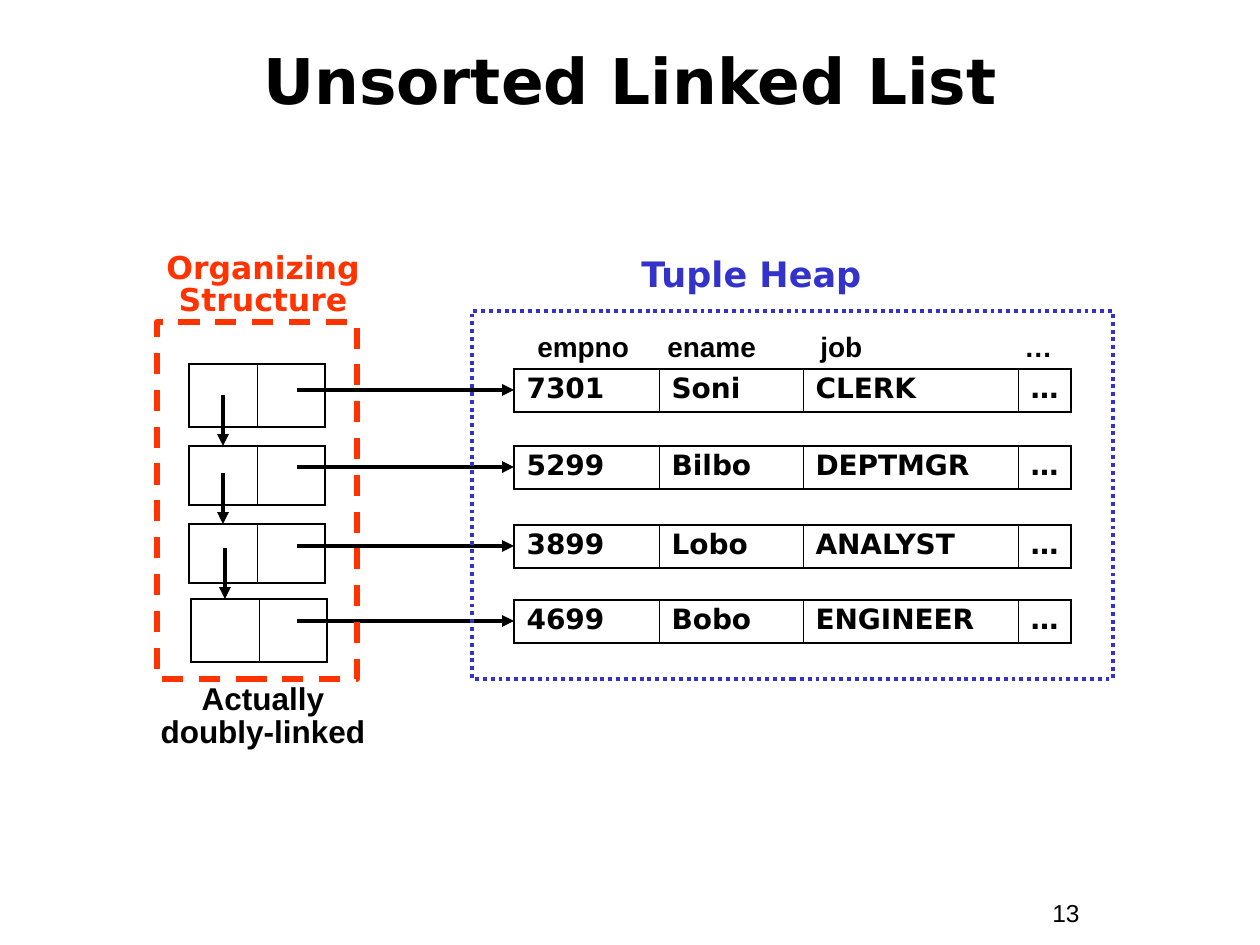
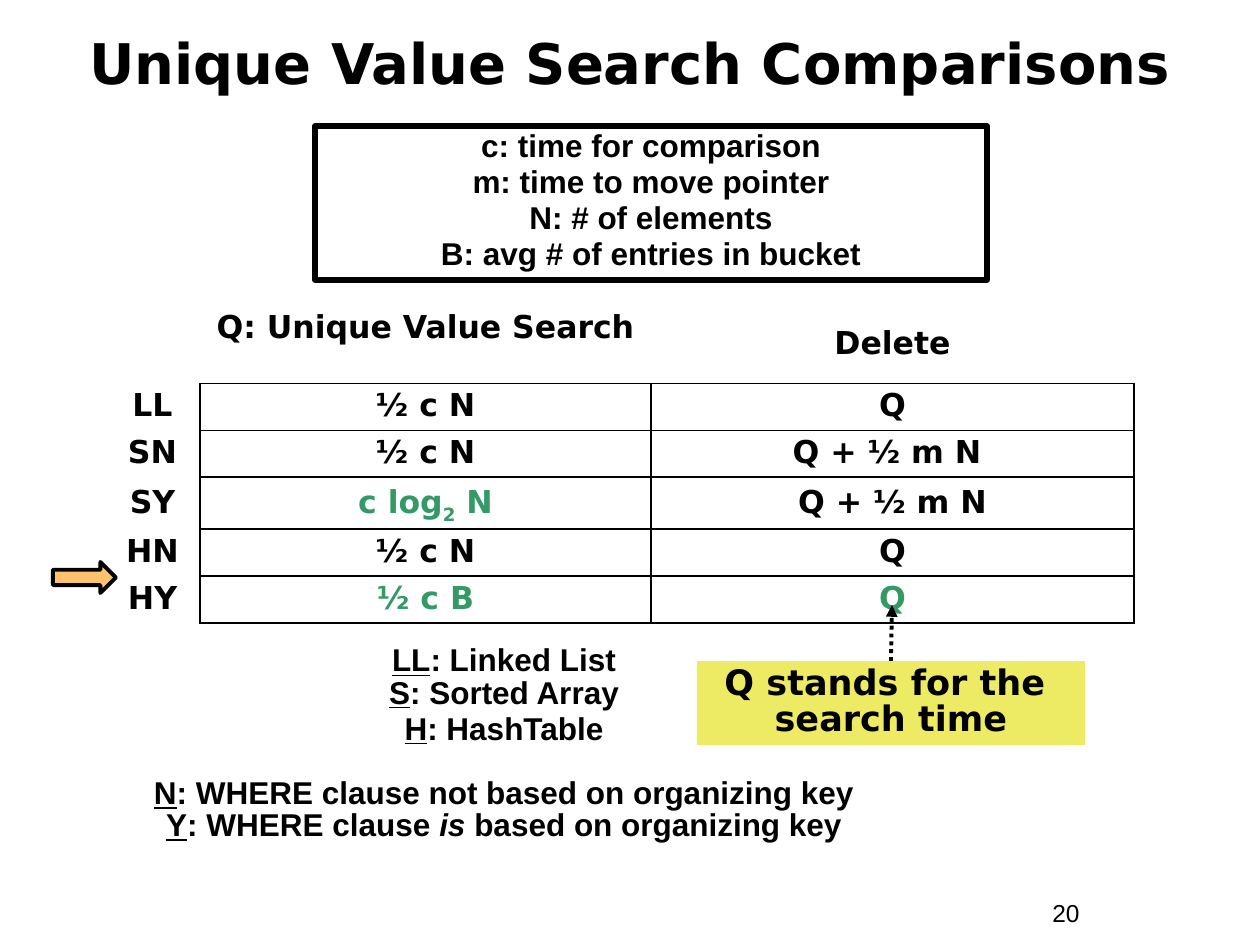
from dataclasses import dataclass, replace
from typing import Callable, NamedTuple, Sequence

from lxml.etree import SubElement
from pptx import Presentation
from pptx.dml.color import RGBColor
from pptx.enum.dml import MSO_LINE_DASH_STYLE as Dash
from pptx.enum.shapes import MSO_CONNECTOR as Conn, MSO_SHAPE as Shape
from pptx.enum.text import MSO_ANCHOR as Anchor, PP_ALIGN as Align
from pptx.oxml import parse_xml
from pptx.oxml.ns import nsdecls, qn
from pptx.slide import Slide
from pptx.util import Pt

PX = 914400 / 126
BLACK, RED, BLUE, GREEN = "000000", "FF3300", "3333CC", "339966"
ORANGE, YELLOW = "FFC36B", "EDEA63"
SANS, ARIAL = "DejaVu Sans", "Arial"
THIN, RULE = 0.45, 1.08


class Box(NamedTuple):
    x: int
    y: int
    w: int
    h: int


class Span(NamedTuple):
    text: str
    underline: bool = False
    italic: bool = False
    subscript: bool = False


class Node(NamedTuple):
    x: int
    y: int
    h: int


class Employee(NamedTuple):
    y: int
    values: tuple[str, ...]


@dataclass(frozen=True)
class Style:
    size: int
    font: str = SANS
    color: str = BLACK
    bold: bool = True
    align: Align = Align.CENTER
    line_spacing: float = 1.0
    space_before: float = 0


@dataclass(frozen=True)
class Pen:
    width: float
    color: str = BLACK
    dash: Dash | None = None


Line = str | Sequence[Span]
Edges = Callable[[int, int], dict[str, float]]

TITLE = Style(36)
PAGE_NUMBER = Style(14, ARIAL, bold=False, align=Align.LEFT)
CAPTION = Style(18, line_spacing=0.85)
NOTE = Style(18, ARIAL, line_spacing=0.85, space_before=2.2)
TUPLE_CELL = Style(16, align=Align.LEFT, line_spacing=0.9)
COST_CELL = Style(18, line_spacing=0.9)
ARROW = Pen(2.25)

NODES = [Node(189, 364, 63), Node(189, 446, 59), Node(189, 524, 59), Node(191, 599, 63)]
EMPLOYEES = [
    Employee(369, ("7301", "Soni", "CLERK", "…")),
    Employee(446, ("5299", "Bilbo", "DEPTMGR", "…")),
    Employee(525, ("3899", "Lobo", "ANALYST", "…")),
    Employee(600, ("4699", "Bobo", "ENGINEER", "…")),
]
COSTS: list[list[Line]] = [
    ["", "Q: Unique Value Search", "Delete"],
    ["LL", "½ c N", "Q"],
    ["SN", "½ c N", "Q + ½ m N "],
    ["SY", [Span("c log"), Span("2", subscript=True), Span(" N")], "Q + ½ m N"],
    ["HN", "½ c N", "Q"],
    ["HY", "½ c B", "Q"],
]
FAST_COSTS = {(3, 1), (5, 1), (5, 2)}
SYMBOLS = ["c: time for comparison", "m: time to move pointer",
           "N: # of elements", "B: avg # of entries in bucket"]
# Space before in points, then the spans of the line
LEGEND = [
    (0, [Span("LL", underline=True), Span(": Linked List")]),
    (0, [Span("S", underline=True), Span(": Sorted Array")]),
    (2.2, [Span("H", underline=True), Span(": HashTable")]),
    (18.5, [Span("N", underline=True), Span(": WHERE clause not based on organizing key")]),
    (0, [Span("Y", underline=True), Span(": WHERE clause "), Span("is", italic=True),
         Span(" based on organizing key")]),
]


def emu(px: float) -> int:
    return round(px * PX)


def rgb(color: str) -> RGBColor:
    return RGBColor.from_string(color)


def write(tf, lines: Sequence[Line], st: Style) -> None:
    for i, line in enumerate(lines):
        p = tf.paragraphs[0] if i == 0 else tf.add_paragraph()
        p.alignment = st.align
        p.line_spacing = st.line_spacing
        p.space_before = Pt(st.space_before if i else 0)
        if isinstance(line, str):
            p.text = line
        else:
            for span in line:
                r = p.add_run()
                r.text = span.text
                if span.underline:
                    r.font.underline = True
                if span.italic:
                    r.font.italic = True
                if span.subscript:
                    r._r.get_or_add_rPr().set("baseline", "-25000")
        for r in p.runs:
            r.font.name, r.font.size, r.font.bold = st.font, Pt(st.size), st.bold
            r.font.color.rgb = rgb(st.color)


def add_text(s: Slide, box: Box, lines: Sequence[Line], st: Style, anchor: Anchor = Anchor.TOP):
    tf = s.shapes.add_textbox(*map(emu, box)).text_frame
    tf.word_wrap = True
    tf.vertical_anchor = anchor
    write(tf, lines, st)
    return tf


def draw_line(line, pen: Pen) -> None:
    line.color.rgb = rgb(pen.color)
    line.width = Pt(pen.width)
    if pen.dash is not None:
        line.dash_style = pen.dash


def add_box(s: Slide, kind: Shape, box: Box, fill: str | None = None, pen: Pen | None = None):
    sp = s.shapes.add_shape(kind, *map(emu, box))
    sp.shadow.inherit = False
    if fill:
        sp.fill.solid()
        sp.fill.fore_color.rgb = rgb(fill)
    else:
        sp.fill.background()
    if pen:
        draw_line(sp.line, pen)
    else:
        sp.line.fill.background()
    sp.text_frame.word_wrap = True
    sp.text_frame.vertical_anchor = Anchor.TOP
    return sp


def add_arrow(s: Slide, x1: int, y1: int, x2: int, y2: int, pen: Pen = ARROW) -> None:
    c = s.shapes.add_connector(Conn.STRAIGHT, *map(emu, (x1, y1, x2, y2)))
    draw_line(c.line, pen)
    SubElement(c.line._get_or_add_ln(), qn("a:tailEnd"), type="triangle")
    SubElement(c._element.spPr, qn("a:effectLst"))


def set_borders(cell, widths: dict[str, float]) -> None:
    """Draw the given sides (L, R, T, B) and clear the others."""
    tc_pr = cell._tc.get_or_add_tcPr()
    for i, side in enumerate("LRTB"):
        width = widths.get(side, 0)
        paint = (f'<a:solidFill><a:srgbClr val="{BLACK}"/></a:solidFill>'
                 if width else "<a:noFill/>")
        tc_pr.insert(i, parse_xml(
            f'<a:ln{side} {nsdecls("a")} w="{Pt(width)}">{paint}</a:ln{side}>'))


def add_grid(s: Slide, x: int, y: int, cols: Sequence[int], rows: Sequence[int], edges: Edges):
    frame = s.shapes.add_table(len(rows), len(cols), *map(emu, (x, y, sum(cols), sum(rows))))
    tbl = frame.table
    tbl.first_row = tbl.horz_banding = False
    for col, w in zip(tbl.columns, cols):
        col.width = emu(w)
    for i, h in enumerate(rows):
        tbl.rows[i].height = emu(h)
        for j in range(len(cols)):
            cell = tbl.cell(i, j)
            cell.fill.background()
            set_borders(cell, edges(i, j))
    return tbl


def add_record(s: Slide, x: int, y: int, h: int, cols: Sequence[int]):
    """Add a one-row table with a heavier outer edge."""
    last = len(cols) - 1
    return add_grid(s, x, y, cols, [h], lambda i, j: {
        "L": THIN if j else RULE, "R": THIN if j < last else RULE, "T": RULE, "B": RULE})


def cost_edges(i: int, j: int) -> dict[str, float]:
    if i and j:
        return dict.fromkeys("LRTB", RULE)
    if i:
        return {"R": RULE}
    return {"B": RULE} if j else {}


def new_slide(prs, title: str, box: Box, st: Style, number: int) -> Slide:
    s = prs.slides.add_slide(prs.slide_layouts[6])
    add_text(s, Box(1040, 892, 116, 43), [str(number)], PAGE_NUMBER)
    add_text(s, box, [title], st, Anchor.MIDDLE)
    return s


def add_column_names(s: Slide) -> None:
    tf = add_text(s, Box(525, 323, 599, 47), ["empno\tename\tjob\t…"],
                  Style(16, ARIAL, align=Align.LEFT))
    tabs = SubElement(tf.paragraphs[0]._p.get_or_add_pPr(), qn("a:tabLst"))
    for stop in (130, 283, 487):
        SubElement(tabs, qn("a:tab"), pos=str(emu(stop)), algn="l")


def linked_list_slide(prs) -> None:
    s = new_slide(prs, "Unsorted Linked List", Box(42, 21, 1176, 116), TITLE, 13)
    heap_x = 514
    for node, emp in zip(NODES, EMPLOYEES):
        add_record(s, node.x, node.y, node.h, [68, 68])
        tbl = add_record(s, heap_x, emp.y, 43, [145, 144, 215, 53])
        for j, value in enumerate(emp.values):
            write(tbl.cell(0, j).text_frame, [value], TUPLE_CELL)
        add_arrow(s, 297, emp.y + 21, heap_x, emp.y + 21)
    for node in NODES[1:]:
        add_arrow(s, node.x + 34, node.y - 51, node.x + 34, node.y)
    add_column_names(s)
    add_text(s, Box(116, 679, 294, 77), ["Actually\ndoubly-linked"], replace(CAPTION, font=ARIAL))
    add_box(s, Shape.RECTANGLE, Box(157, 322, 200, 357), pen=Pen(3, RED, Dash.DASH))
    add_text(s, Box(116, 248, 294, 77), ["Organizing\nStructure"], replace(CAPTION, color=RED))
    add_text(s, Box(599, 246, 305, 55), ["Tuple Heap"], Style(20, color=BLUE))
    add_box(s, Shape.RECTANGLE, Box(472, 311, 641, 368), pen=Pen(2.25, BLUE, Dash.ROUND_DOT))


def comparison_slide(prs) -> None:
    s = new_slide(prs, "Unique Value Search Comparisons", Box(42, 15, 1176, 94),
                  replace(TITLE, size=32), 20)
    tbl = add_grid(s, 105, 305, [95, 451, 483], [78, 47, 47, 52, 47, 47], cost_edges)
    for i, row in enumerate(COSTS):
        for j, value in enumerate(row):
            cell = tbl.cell(i, j)
            cell.vertical_anchor = Anchor.MIDDLE
            color = GREEN if (i, j) in FAST_COSTS else BLACK
            write(cell.text_frame, [value], replace(COST_CELL, color=color))
    tbl.cell(0, 1).margin_bottom = emu(38)

    tf = add_text(s, Box(105, 640, 798, 246), [spans for _, spans in LEGEND], NOTE)
    for p, (before, _) in zip(tf.paragraphs, LEGEND):
        p.space_before = Pt(before)

    symbols = add_box(s, Shape.RECTANGLE, Box(315, 126, 672, 154), pen=Pen(3))
    write(symbols.text_frame, SYMBOLS, NOTE)
    add_box(s, Shape.RIGHT_ARROW, Box(53, 562, 63, 31), ORANGE, ARROW)
    callout = add_box(s, Shape.RECTANGLE, Box(697, 661, 388, 84), YELLOW)
    write(callout.text_frame, ["Q stands for the \nsearch time"], replace(CAPTION, size=20))
    add_arrow(s, 891, 661, 892, 605, Pen(2.25, dash=Dash.ROUND_DOT))


def main() -> None:
    prs = Presentation()
    prs.slide_width, prs.slide_height = emu(1260), emu(945)
    linked_list_slide(prs)
    comparison_slide(prs)
    prs.save("out.pptx")


if __name__ == "__main__":
    main()
